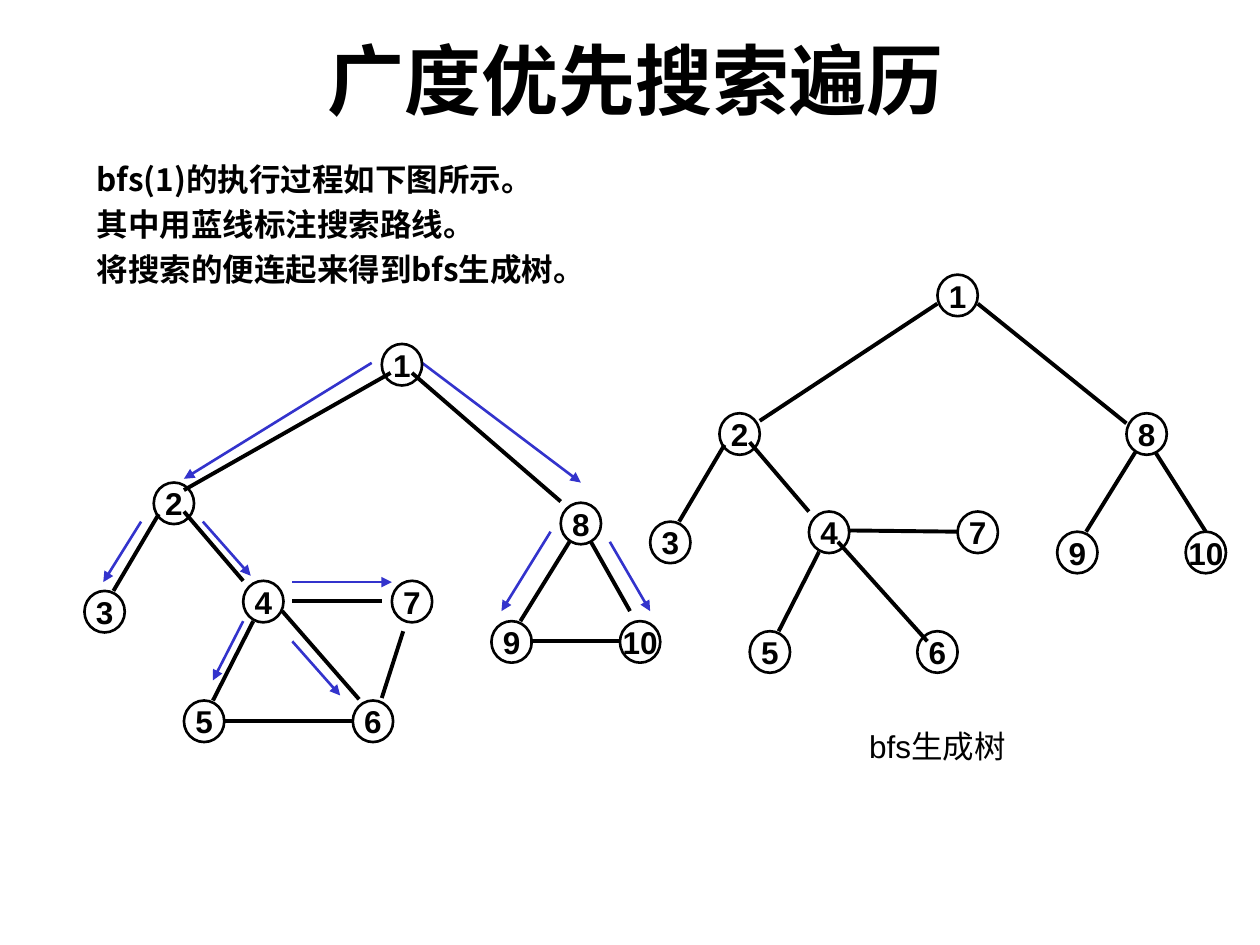
import pptx
import pptx.dml.color
import pptx.enum.shapes
import pptx.enum.text
import pptx.oxml
import pptx.oxml.ns
import pptx.util
from pptx.util import Inches

COLORS = {"ink": "000000", "route": "3333CC"}
CJK_FONT = "Noto Sans CJK SC"
NODE_WIDTH, NODE_HEIGHT = 0.32, 0.33
CENTER = pptx.enum.text.PP_ALIGN.CENTER
LEFT = pptx.enum.text.PP_ALIGN.LEFT

INTRO = [
    "bfs(1)的执行过程如下图所示。",
    "其中用蓝线标注搜索路线。",
    "将搜索的便连起来得到bfs生成树。",
]
ROUTE_ARROWS = [
    (2.95, 2.88, 1.46, 3.8), (1.12, 4.14, 0.82, 4.62), (2.32, 4.62, 3.11, 4.62),
    (3.35, 2.88, 4.61, 3.83), (1.61, 4.14, 1.99, 4.57), (2.32, 5.09, 2.7, 5.52),
    (1.93, 4.93, 1.69, 5.4), (4.84, 4.3, 5.16, 4.85), (4.37, 4.22, 3.98, 4.85),
]
GRAPH_EDGES = [
    (3.1, 2.96, 1.46, 3.89), (1.26, 4.08, 0.9, 4.69), (1.46, 4.06, 1.93, 4.61),
    (2.01, 4.93, 1.69, 5.56), (2.24, 4.85, 2.85, 5.55), (3.2, 5.01, 3.03, 5.54),
    (2.32, 4.77, 3.03, 4.77), (3.27, 2.96, 4.45, 3.98), (4.52, 4.3, 4.13, 4.93),
    (4.69, 4.3, 5, 4.85), (4.21, 5.09, 4.93, 5.09), (1.77, 5.72, 2.8, 5.72),
]
GRAPH_NODES = {
    6: (2.8, 5.56), 7: (3.11, 4.61), 1: (3.03, 2.73), 2: (1.22, 3.83), 5: (1.46, 5.56),
    3: (0.67, 4.69), 4: (1.93, 4.61), 8: (4.45, 3.99), 10: (4.92, 4.93), 9: (3.9, 4.93),
}
TREE_EDGES = [
    (7.44, 2.41, 6.03, 3.34), (5.75, 3.53, 5.39, 4.14), (5.95, 3.51, 6.42, 4.06),
    (6.5, 4.38, 6.18, 5.01), (7.6, 4.22, 6.73, 4.21), (7.76, 2.41, 8.94, 3.36),
    (9.01, 3.59, 8.62, 4.22), (9.17, 3.59, 9.57, 4.22), (6.65, 4.3, 7.36, 5.09),
]
TREE_NODES = {
    6: (7.28, 5.01), 7: (7.6, 4.06), 1: (7.44, 2.18), 2: (5.71, 3.28), 5: (5.95, 5.01),
    3: (5.16, 4.14), 4: (6.42, 4.06), 8: (8.94, 3.28), 10: (9.41, 4.22), 9: (8.39, 4.22),
}


def color(name):
    return pptx.dml.color.RGBColor.from_string(COLORS[name])


def set_values(target, values):
    for name, value in values.items():
        setattr(target, name, value)


def add_span(para, text, font_name, size, bold):
    span = para.add_run()
    span.text = text
    set_values(span.font, {"name": font_name, "size": pptx.util.Pt(size), "bold": bold})
    span.font.color.rgb = color("ink")
    east_asian = pptx.oxml.ns.qn("a:ea")
    span.font._element.get_or_add_latin().addnext(
        span.font._element.makeelement(east_asian, {"typeface": CJK_FONT}))


def add_text(slide, place, lines, font_name, size, bold, para_format, frame_format):
    box = slide.shapes.add_textbox(*map(Inches, place))
    frame = box.text_frame
    set_values(frame, {"word_wrap": True, **frame_format})
    for index, line in enumerate(lines):
        para = frame.paragraphs[0] if index == 0 else frame.add_paragraph()
        set_values(para, para_format)
        if index == 0:
            para.space_before = pptx.util.Pt(0)
        add_span(para, line, font_name, size, bold)
    return box


def add_line(shapes, ends, color_name, width, arrow=False):
    line = shapes.add_connector(
        pptx.enum.shapes.MSO_CONNECTOR.STRAIGHT, *map(Inches, ends))
    line.line.color.rgb = color(color_name)
    line.line.width = pptx.util.Pt(width)
    if arrow:
        outline = line.line._get_or_add_ln()
        outline.append(outline.makeelement(
            pptx.oxml.ns.qn("a:tailEnd"), {"type": "triangle"}))
    properties = line._element.spPr
    properties.append(properties.makeelement(pptx.oxml.ns.qn("a:effectLst"), {}))


def add_node(shapes, label, left, top):
    node = shapes.add_shape(
        pptx.enum.shapes.MSO_SHAPE.OVAL,
        *map(Inches, (left, top, NODE_WIDTH, NODE_HEIGHT)))
    node.shadow.inherit = False
    node.fill.background()
    node.line.color.rgb = color("ink")
    node.line.width = pptx.util.Pt(1.5)
    set_values(node.text_frame, {
        "word_wrap": False, "vertical_anchor": pptx.enum.text.MSO_ANCHOR.MIDDLE})
    para = node.text_frame.paragraphs[0]
    para.alignment = CENTER
    add_span(para, str(label), "Arial", 18, True)


def add_graph(slide, edges, nodes):
    """Group the edges with the numbered nodes above them."""
    shapes = slide.shapes.add_group_shape().shapes
    for ends in edges:
        add_line(shapes, ends, "ink", 2.25)
    for label, (left, top) in nodes.items():
        add_node(shapes, label, left, top)


def main():
    deck = pptx.Presentation()
    set_values(deck, {"slide_width": Inches(10), "slide_height": Inches(7.5)})
    page = deck.slides.add_slide(deck.slide_layouts[6])

    add_text(page, (0.67, -0.34, 8.75, 1.33), ["广度优先搜索遍历"], "Calibri", 44, True,
             {"alignment": CENTER},
             {"vertical_anchor": pptx.enum.text.MSO_ANCHOR.BOTTOM,
              "margin_bottom": Inches(0)})
    intro = add_text(page, (0.67, 1.23, 8.74, 5.43), INTRO, CJK_FONT, 18, True,
                     {"alignment": LEFT, "space_before": pptx.util.Pt(8),
                      "line_spacing": 0.82},
                     {"margin_top": Inches(0.09)})
    for para in intro.text_frame.paragraphs:
        indent = para._element.get_or_add_pPr()
        indent.set("marL", str(Inches(0.38)))
        indent.set("indent", str(Inches(-0.38)))

    for ends in ROUTE_ARROWS:
        add_line(page.shapes, ends, "route", 1.5, arrow=True)
    add_graph(page, GRAPH_EDGES, GRAPH_NODES)
    add_graph(page, TREE_EDGES, TREE_NODES)
    add_text(page, (6.34, 5.72, 2.2, 0.4), ["bfs生成树"], "Arial", 18, False,
             {"alignment": CENTER}, {})
    deck.save("out.pptx")


if __name__ == "__main__":
    main()
